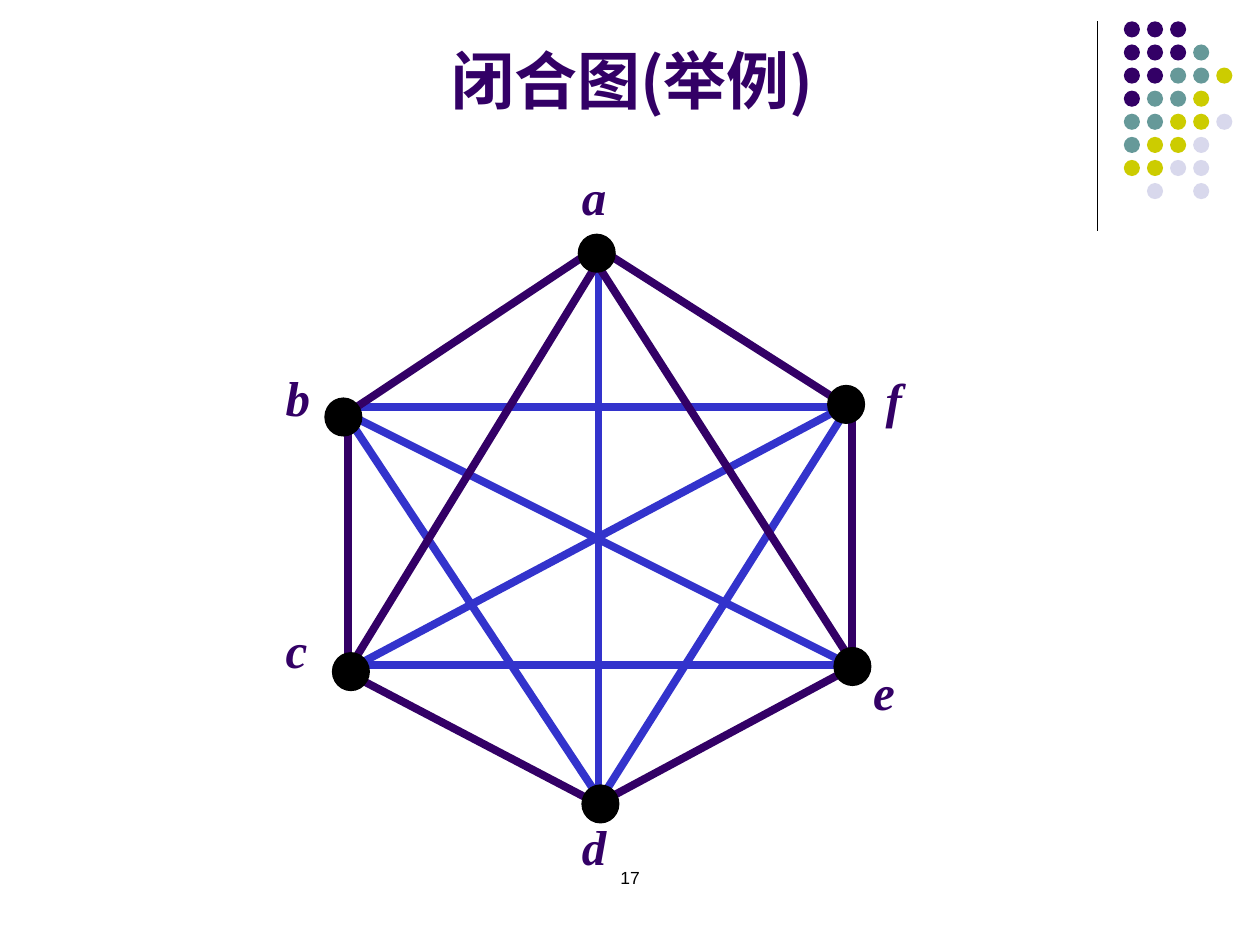
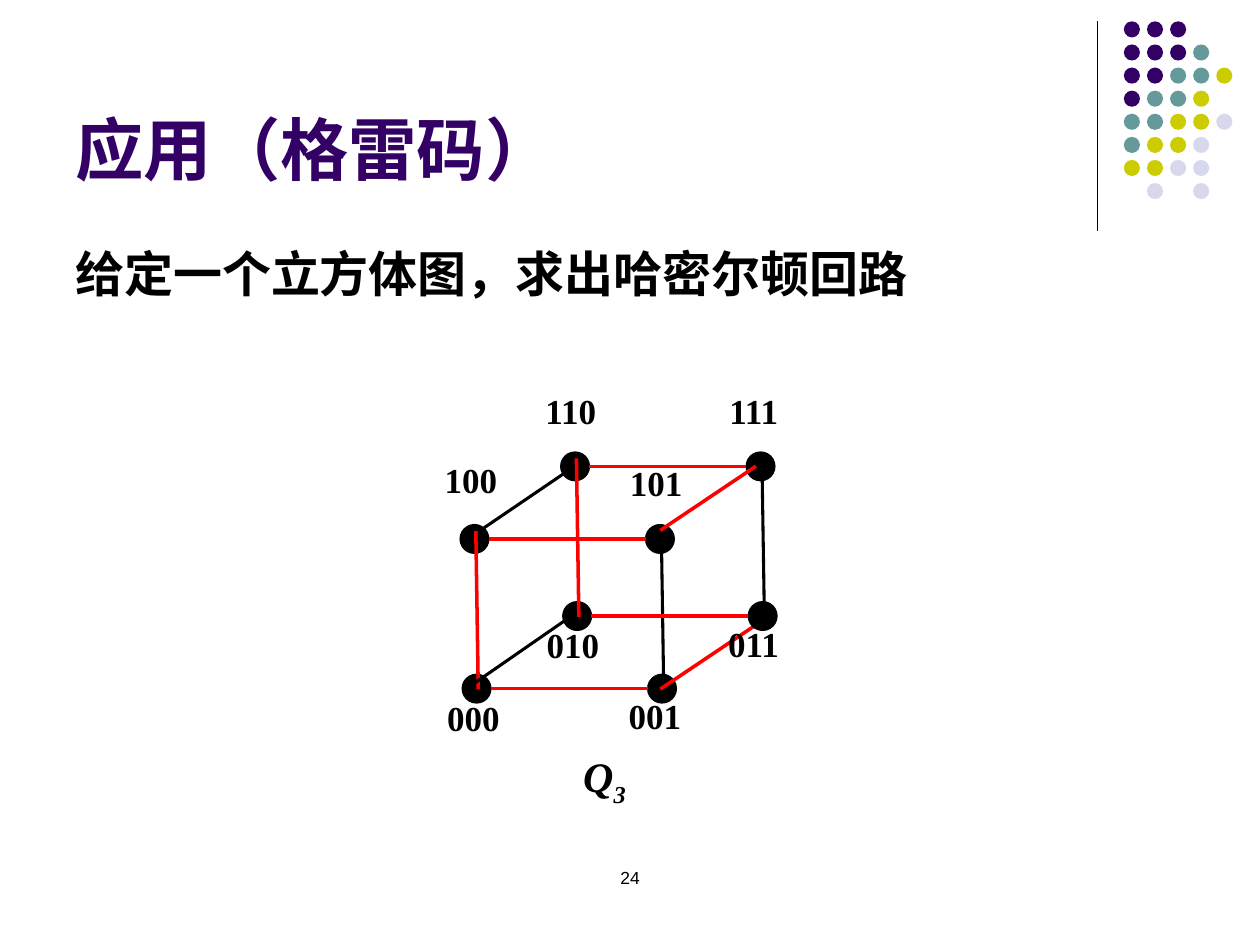
from typing import NamedTuple, Optional

import pptx
import pptx.dml.color
import pptx.enum.shapes
import pptx.enum.text
import pptx.oxml
import pptx.oxml.ns
import pptx.util

Pt = pptx.util.Pt
RGBColor = pptx.dml.color.RGBColor
SHAPE = pptx.enum.shapes.MSO_SHAPE
ALIGN = pptx.enum.text.PP_ALIGN
ANCHOR = pptx.enum.text.MSO_ANCHOR

# Shared colours and fonts
PURPLE = RGBColor(0x33, 0x00, 0x66)
TEAL = RGBColor(0x66, 0x99, 0x99)
YELLOW = RGBColor(0xCC, 0xCC, 0x00)
LILAC = RGBColor(0xD8, 0xD8, 0xEC)
BLUE = RGBColor(0x33, 0x33, 0xCC)
RED = RGBColor(0xFF, 0x00, 0x00)
BLACK = RGBColor(0x00, 0x00, 0x00)
SANS = "Arial"
SERIF = "Times New Roman"
CHINESE = "Noto Sans CJK SC"

# Corner dots: one string per row, one letter per dot
DOT_COLORS = {"P": PURPLE, "T": TEAL, "Y": YELLOW, "L": LILAC}
DOT_ROWS = ["PPP", "PPPT", "PPTTY", "PTTY", "TTYYL", "TYYL", "YYLL", " L L"]
DOT_LEFT, DOT_TOP, DOT_PITCH, DOT_SIZE = 642.2, 12.2, 13.2, 9.2


class Area(NamedTuple):
    left: float
    top: float
    width: float
    height: float

    def lengths(self) -> list:
        return [Pt(value) for value in self]


class Style(NamedTuple):
    size: float
    font: str = SERIF
    color: RGBColor = BLACK
    bold: bool = True
    italic: bool = False


class Edge(NamedTuple):
    x1: float
    y1: float
    x2: float
    y2: float
    color: RGBColor
    width: float


class Vertex(NamedTuple):
    name: str
    x: float
    y: float
    label_left: float
    label_top: float


VERTEX_LABEL = Style(28, color=PURPLE, italic=True)
CODE_LABEL = Style(20)
SYMBOL = Style(24, italic=True)
PAGE_NUMBER = Style(10, SANS, bold=False)


# Drawing functions
def add_span(para, text: str, style: Style):
    span = para.add_run()
    span.text = text
    font = span.font
    font.size, font.name = Pt(style.size), style.font
    font.bold, font.italic = style.bold, style.italic
    font.color.rgb = style.color
    east_asian = pptx.oxml.parse_xml(
        f'<a:ea {pptx.oxml.ns.nsdecls("a")} typeface="{CHINESE}"/>')
    span._r.get_or_add_rPr().append(east_asian)
    return span


def add_text(page, area: Area, text: str, style: Style,
             align=ALIGN.LEFT, wrap: bool = True) -> None:
    box = page.shapes.add_textbox(*area.lengths())
    box.text_frame.word_wrap = wrap
    para = box.text_frame.paragraphs[0]
    para.alignment = align
    add_span(para, text, style)


def add_circle(page, area: Area, fill: RGBColor, kind=SHAPE.OVAL,
               outline: Optional[RGBColor] = None) -> None:
    circle = page.shapes.add_shape(kind, *area.lengths())
    circle.shadow.inherit = False
    circle.fill.solid()
    circle.fill.fore_color.rgb = fill
    if outline is None:
        circle.line.fill.background()
    else:
        circle.line.color.rgb = outline
        circle.line.width = Pt(0.75)


def add_edge(page, edge: Edge) -> None:
    line = page.shapes.add_connector(
        pptx.enum.shapes.MSO_CONNECTOR.STRAIGHT,
        Pt(edge.x1), Pt(edge.y1), Pt(edge.x2), Pt(edge.y2))
    line.line.color.rgb = edge.color
    line.line.width = Pt(edge.width)
    line._element.spPr.append(pptx.oxml.parse_xml(
        f'<a:effectLst {pptx.oxml.ns.nsdecls("a")}/>'))


def add_callout(page, area: Area, text: str, style: Style):
    callout = page.shapes.add_shape(SHAPE.RECTANGULAR_CALLOUT, *area.lengths())
    callout.shadow.inherit = False
    callout.fill.background()
    callout.line.fill.background()
    frame = callout.text_frame
    frame.word_wrap = False
    frame.vertical_anchor = ANCHOR.TOP
    para = frame.paragraphs[0]
    para.alignment = ALIGN.LEFT
    add_span(para, text, style)
    return para


def add_page(deck, title: str, area: Area, style: Style, align, number: str):
    page = deck.slides.add_slide(deck.slide_layouts[5])

    # Corner rule and dots
    add_edge(page, Edge(627.1, 12.2, 627.1, 131.8, BLACK, 0.75))
    for row, letters in enumerate(DOT_ROWS):
        for column, letter in enumerate(letters):
            if letter in DOT_COLORS:
                dot = Area(DOT_LEFT + column * DOT_PITCH,
                           DOT_TOP + row * DOT_PITCH, DOT_SIZE, DOT_SIZE)
                add_circle(page, dot, DOT_COLORS[letter])

    # Title
    heading = page.shapes.title
    heading.left, heading.top, heading.width, heading.height = area.lengths()
    frame = heading.text_frame
    frame.auto_size = pptx.enum.text.MSO_AUTO_SIZE.NONE
    frame.word_wrap = True
    frame.vertical_anchor = ANCHOR.BOTTOM
    para = frame.paragraphs[0]
    para.alignment = align
    add_span(para, title, style)

    # Page number
    add_text(page, Area(276, 492, 168, 36), number, PAGE_NUMBER, ALIGN.CENTER)
    return page


# Closure graph
ADDED_EDGES = [
    (201.6, 380.2, 489.6, 380.2),
    (342, 146.2, 342, 458.6),
    (203.8, 380.2, 486, 230.4),
    (198, 236.2, 486, 380.2),
    (196.6, 235.4, 347, 463),
    (342, 458.6, 486, 230.4),
    (198, 232.6, 486, 232.6),
]
GIVEN_EDGES = [
    (198.7, 234.7, 198.7, 384.5),
    (336.2, 144.7, 201.6, 234),
    (485.3, 382.3, 347, 456.5),
    (342, 141.8, 482.4, 231.1),
    (198.7, 384.5, 336.2, 456.5),
    (339.1, 147.6, 485.3, 375.8),
    (344.9, 144.7, 201.6, 378.7),
    (486.7, 227.5, 486.7, 377.3),
]
VERTICES = [
    Vertex("a", 341, 144.7, 325.4, 91.4),
    Vertex("b", 196.2, 238.3, 156.2, 206.6),
    Vertex("c", 200.5, 383.8, 156.2, 350.6),
    Vertex("d", 343.1, 459.4, 325.4, 463),
    Vertex("e", 487.1, 380.9, 491.8, 374.4),
    Vertex("f", 483.5, 231.1, 499, 207.4),
]


def build_closure_page(deck) -> None:
    page = add_page(deck, "闭合图(举例)", Area(1.4, 10.8, 720, 59.8),
                    Style(36, CHINESE, PURPLE), ALIGN.CENTER, "17")
    for color, edges in ((BLUE, ADDED_EDGES), (PURPLE, GIVEN_EDGES)):
        for ends in edges:
            add_edge(page, Edge(*ends, color, 4.5))
    for vertex in VERTICES:
        add_circle(page, Area(vertex.x - 10.5, vertex.y - 10.8, 21, 21.6),
                   BLACK, outline=BLACK)
        add_text(page, Area(vertex.label_left, vertex.label_top, 28, 41),
                 vertex.name, VERTEX_LABEL, wrap=False)


# Cube graph
NODE_RADIUS = 8.2
CODE_LABELS = {
    "000": (248.4, 394.6), "001": (352.1, 393.1),
    "010": (305.3, 352.8), "011": (409, 352.1),
    "100": (247, 258.5), "101": (352.8, 259.9),
    "110": (304.6, 218.9), "111": (409.7, 218.9),
}
LOWER_DIAGONALS = [
    Edge(271.4, 390.2, 325.4, 352.8, BLACK, 1.75),
    Edge(377.3, 393.8, 432, 357.1, RED, 2),
]
UPPER_DIAGONALS = [
    Edge(276.5, 301.7, 330.5, 265, BLACK, 1.75),
    Edge(377.3, 303.1, 432, 266.4, RED, 2),
]


def node_center(code: str) -> tuple[float, float]:
    up, back, right = (int(bit) for bit in code)
    return (272.3 - 1.2 * up + 57.5 * back + 106 * right,
            393.5 - 85.5 * up - 41.5 * back)


def add_nodes(page, codes: list[str]) -> None:
    for code in codes:
        x, y = node_center(code)
        size = 2 * NODE_RADIUS
        add_circle(page, Area(x - NODE_RADIUS, y - NODE_RADIUS, size, size),
                   BLACK, SHAPE.FLOWCHART_CONNECTOR, BLACK)


def vertical_edge(column: str) -> Edge:
    x1, y1 = node_center("0" + column)
    x2, y2 = node_center("1" + column)
    color, width = (RED, 2) if column[1] == "0" else (BLACK, 1.75)
    return Edge(x1 + 1, y1 + 0.5, x2 + 0.8, y2 - 4.5, color, width)


def horizontal_edge(row: str) -> Edge:
    x1, y = node_center(row + "0")
    x2, _ = node_center(row + "1")
    return Edge(x1 + NODE_RADIUS, y, x2 - NODE_RADIUS, y, RED, 2)


def build_gray_code_page(deck) -> None:
    page = add_page(deck, "应用（格雷码）", Area(36, 9.4, 594, 102.2),
                    Style(39, SANS, PURPLE), ALIGN.LEFT, "24")
    add_text(page, Area(36, 135.4, 664.6, 77.8),
             "给定一个立方体图，求出哈密尔顿回路", Style(28))

    # Front face, then back face, then the edges that lie over the nodes
    add_nodes(page, [code for code in CODE_LABELS if code[1] == "0"])
    for edge in [vertical_edge("00"), vertical_edge("01"), *LOWER_DIAGONALS]:
        add_edge(page, edge)
    add_nodes(page, [code for code in CODE_LABELS if code[1] == "1"])
    rows = [horizontal_edge(row) for row in ("00", "01", "10", "11")]
    for edge in [*rows, *UPPER_DIAGONALS,
                 vertical_edge("10"), vertical_edge("11")]:
        add_edge(page, edge)

    # Code labels and the graph symbol
    for code, (left, top) in CODE_LABELS.items():
        add_callout(page, Area(left, top, 41, 31.7), code, CODE_LABEL)
    para = add_callout(page, Area(326.2, 425.5, 81.4, 39.6), "Q", SYMBOL)
    subscript = add_span(para, "3", SYMBOL)
    subscript._r.get_or_add_rPr().set("baseline", "-25000")


def main() -> None:
    deck = pptx.Presentation()
    deck.slide_width, deck.slide_height = Pt(720), Pt(540)
    build_closure_page(deck)
    build_gray_code_page(deck)
    deck.save("out.pptx")


if __name__ == "__main__":
    main()
